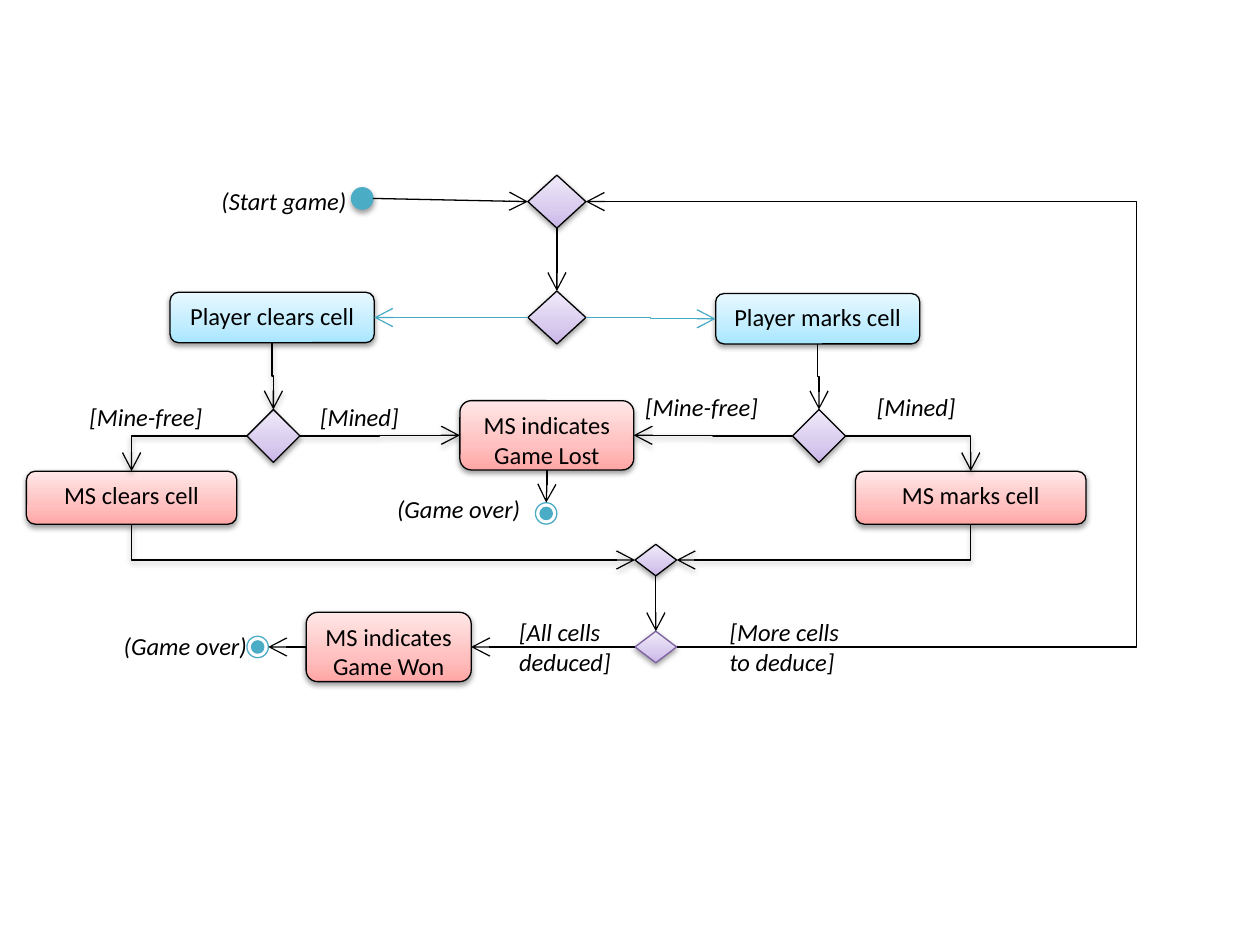
"""Build the activity diagram of a mine-clearing game on one slide."""
from copy import deepcopy
from dataclasses import dataclass
from enum import IntEnum

from lxml import etree
from pptx import Presentation
from pptx.dml.color import RGBColor
from pptx.enum.shapes import MSO_CONNECTOR, MSO_SHAPE
from pptx.enum.text import MSO_ANCHOR, MSO_AUTO_SIZE, PP_ALIGN
from pptx.oxml.ns import qn
from pptx.util import Inches, Pt

DIAMOND, OVAL, ROUNDED = MSO_SHAPE.DIAMOND, MSO_SHAPE.OVAL, MSO_SHAPE.ROUNDED_RECTANGLE
STRAIGHT, ELBOW = MSO_CONNECTOR.STRAIGHT, MSO_CONNECTOR.ELBOW
LEFT_ALIGN, CENTER, RIGHT_ALIGN = PP_ALIGN.LEFT, PP_ALIGN.CENTER, PP_ALIGN.RIGHT
TOP_ANCHOR, FIT = MSO_ANCHOR.TOP, MSO_AUTO_SIZE.SHAPE_TO_FIT_TEXT

BLACK = RGBColor(0x00, 0x00, 0x00)
WHITE = RGBColor(0xFF, 0xFF, 0xFF)
TEAL = RGBColor(0x4B, 0xAC, 0xC6)
CHOICE_TEAL = RGBColor(0x46, 0xAA, 0xC5)
VIOLET = RGBColor(0x7D, 0x60, 0xA0)
RED_FADE = (RGBColor(0xFF, 0xA6, 0xA5), RGBColor(0xFF, 0xC0, 0xBF), RGBColor(0xFF, 0xE7, 0xE7))
BLUE_FADE = (RGBColor(0xA7, 0xE6, 0xFF), RGBColor(0xC1, 0xED, 0xFF), RGBColor(0xE7, 0xF8, 0xFF))
VIOLET_FADE = (RGBColor(0xC9, 0xB5, 0xE8), RGBColor(0xD8, 0xCB, 0xEE), RGBColor(0xF0, 0xEA, 0xF9))
FADE_POSITIONS = (0, 0.35, 1)
LINE_HEIGHT = 0.24
DOT_SIZE, CORE_SIZE = 0.17, 0.08
LOOP_LANE = 9.02


class Side(IntEnum):
    TOP = 0
    LEFT = 1
    BOTTOM = 2
    RIGHT = 3


TOP, LEFT, BOTTOM, RIGHT = Side


@dataclass(frozen=True)
class Node:
    key: str
    left: float
    top: float
    width: float
    height: float
    fade: tuple = VIOLET_FADE
    text: str = ""
    outline: RGBColor = BLACK


@dataclass(frozen=True)
class Label:
    text: str
    left: float
    top: float
    width: float
    align: PP_ALIGN = LEFT_ALIGN
    lines: int = 1


@dataclass(frozen=True)
class Flow:
    source: str
    exit: Side
    target: str
    entry: Side
    color: RGBColor = BLACK
    shadow: bool = False
    kind: MSO_CONNECTOR = ELBOW
    lane: float | None = None


NODES = (
    Node("merge", 4.19, 1.39, 0.46, 0.42),
    Node("choice", 4.19, 2.31, 0.46, 0.42),
    Node("player clears", 1.35, 2.32, 1.62, 0.4, BLUE_FADE, "Player clears cell"),
    Node("player marks", 5.68, 2.33, 1.62, 0.4, BLUE_FADE, "Player marks cell"),
    Node("clear check", 1.96, 3.25, 0.42, 0.42),
    Node("mark check", 6.29, 3.25, 0.42, 0.42),
    Node("cleared", 0.21, 3.74, 1.67, 0.42, RED_FADE, "MS clears cell"),
    Node("marked", 6.79, 3.74, 1.83, 0.42, RED_FADE, "MS marks cell"),
    Node("lost", 3.65, 3.18, 1.38, 0.55, RED_FADE, "MS indicates Game Lost"),
    Node("join", 5.04, 4.32, 0.33, 0.25),
    Node("deduced", 5.04, 5.01, 0.33, 0.25, outline=VIOLET),
    Node("won", 2.43, 4.86, 1.31, 0.55, RED_FADE, "MS indicates Game Won"),
)
LABELS = (
    Label("(Start game)", 1.33, 1.48, 1.42, RIGHT_ALIGN),
    Label("[Mine-free]", 0.71, 3.19, 1.17),
    Label("[Mined]", 2.54, 3.19, 0.83),
    Label("[Mine-free]", 5.12, 3.11, 1.17),
    Label("[Mined]", 6.96, 3.11, 0.83),
    Label("(Game over)", 2.71, 3.92, 1.42, RIGHT_ALIGN),
    Label("[All cells deduced]", 4.12, 4.9, 0.92, lines=2),
    Label("[More cells\vto deduce]", 5.79, 4.9, 1.17, lines=2),
    Label("(Game over)", 0.54, 5.01, 1.42, RIGHT_ALIGN),
)
FINAL_DOTS = {"lost end": (4.25, 3.99), "won end": (1.96, 5.05)}
FLOWS = (
    Flow("start", RIGHT, "merge", LEFT, kind=STRAIGHT),
    Flow("merge", BOTTOM, "choice", TOP, kind=STRAIGHT),
    Flow("choice", LEFT, "player clears", RIGHT, CHOICE_TEAL),
    Flow("choice", RIGHT, "player marks", LEFT, CHOICE_TEAL),
    Flow("player clears", BOTTOM, "clear check", TOP, shadow=True),
    Flow("player marks", BOTTOM, "mark check", TOP),
    Flow("clear check", LEFT, "cleared", TOP, shadow=True),
    Flow("clear check", RIGHT, "lost", LEFT, shadow=True),
    Flow("mark check", LEFT, "lost", RIGHT, shadow=True),
    Flow("mark check", RIGHT, "marked", TOP, shadow=True),
    Flow("lost", BOTTOM, "lost end", TOP),
    Flow("cleared", BOTTOM, "join", LEFT, shadow=True),
    Flow("marked", BOTTOM, "join", RIGHT, shadow=True),
    Flow("join", BOTTOM, "deduced", TOP),
    Flow("deduced", LEFT, "won", RIGHT),
    Flow("won", LEFT, "won end", RIGHT),
    Flow("deduced", RIGHT, "merge", RIGHT, lane=LOOP_LANE),
)


def add_shadow(effects) -> None:
    shadow = etree.SubElement(effects, qn("a:outerShdw"), blurRad="40000", dist="20000",
                              dir="5400000", rotWithShape="0")
    color = etree.SubElement(shadow, qn("a:srgbClr"), val=str(BLACK))
    etree.SubElement(color, qn("a:alpha"), val="38000")


def write(frame, text: str, align: PP_ALIGN, italic: bool = False) -> None:
    frame.word_wrap, frame.vertical_anchor = True, TOP_ANCHOR
    frame.text = text
    paragraph = frame.paragraphs[0]
    paragraph.alignment = align
    for run in paragraph.runs:
        for name, value in {"name": "Calibri", "size": Pt(14), "italic": italic}.items():
            setattr(run.font, name, value)
        run.font.color.rgb = BLACK


def add_outlined(shapes, preset, box: tuple, outline: RGBColor, weight: float, shadow: bool):
    shape = shapes.add_shape(preset, *map(Inches, box))
    shape.line.color.rgb, shape.line.width = outline, Pt(weight)
    shape.shadow.inherit = False
    if shadow:
        add_shadow(shape._element.spPr.find(qn("a:effectLst")))
    return shape


def add_node(shapes, node: Node):
    box = (node.left, node.top, node.width, node.height)
    shape = add_outlined(shapes, ROUNDED if node.text else DIAMOND, box, node.outline, 0.75, True)
    shape.fill.gradient()
    shape.fill.gradient_angle = 90
    first_stop = shape._element.spPr.find(".//" + qn("a:gs"))
    first_stop.addnext(deepcopy(first_stop))
    for stop, color, position in zip(shape.fill.gradient_stops, node.fade, FADE_POSITIONS):
        stop.color.rgb, stop.position = color, position
    if node.text:
        write(shape.text_frame, node.text, CENTER)
    return shape


def add_dot(shapes, left: float, top: float, size: float, fill: RGBColor,
            weight: float = 0.75, shadow: bool = False):
    dot = add_outlined(shapes, OVAL, (left, top, size, size), TEAL, weight, shadow)
    dot.fill.solid()
    dot.fill.fore_color.rgb = fill
    return dot


def add_final_dot(shapes, left: float, top: float):
    group = shapes.add_group_shape()
    ring = add_dot(group.shapes, left, top, DOT_SIZE, WHITE)
    inset = (DOT_SIZE - CORE_SIZE) / 2
    add_dot(group.shapes, left + inset, top + inset, CORE_SIZE, TEAL, 2)
    return ring


def add_label(shapes, label: Label) -> None:
    box = (label.left, label.top, label.width, label.lines * LINE_HEIGHT)
    frame = shapes.add_textbox(*map(Inches, box)).text_frame
    for side in ("left", "top", "right", "bottom"):
        setattr(frame, f"margin_{side}", 0)
    write(frame, label.text, label.align, italic=True)
    frame.auto_size = FIT


def port(shape, side: Side) -> tuple[int, int]:
    across, down = {TOP: (1, 0), LEFT: (0, 1), BOTTOM: (1, 2), RIGHT: (2, 1)}[side]
    return shape.left + shape.width * across // 2, shape.top + shape.height * down // 2


def can_glue(shape, side: Side) -> bool:
    return shape.auto_shape_type != OVAL or side == TOP


def add_flow(shapes, flow: Flow, nodes: dict) -> None:
    source, target = nodes[flow.source], nodes[flow.target]
    (x1, y1), (x2, y2) = port(source, flow.exit), port(target, flow.entry)
    arrow = shapes.add_connector(flow.kind, x1, y1, x2, y2)
    if can_glue(source, flow.exit):
        arrow.begin_connect(source, flow.exit)
    if can_glue(target, flow.entry):
        arrow.end_connect(target, flow.entry)
    properties = arrow._element.spPr
    geometry = properties.find(qn("a:prstGeom"))
    if flow.kind == ELBOW:
        if (flow.exit in (TOP, BOTTOM)) != (flow.entry in (TOP, BOTTOM)):
            geometry.set("prst", "bentConnector2")
        if flow.exit == BOTTOM:
            run, drop = abs(x2 - x1), y2 - y1
            arrow.left, arrow.top = (x1 + x2 - drop) // 2, (y1 + y2 - run) // 2
            arrow.width, arrow.height = drop, run
            frame = properties.find(qn("a:xfrm"))
            frame.set("rot", "5400000")
            frame.set("flipH", "0")
            frame.set("flipV", str(int(x2 > x1)))
    if flow.lane is not None:
        bend = round((Inches(flow.lane) - x1) / (x2 - x1) * 100000)
        etree.SubElement(geometry.find(qn("a:avLst")), qn("a:gd"), name="adj1", fmla=f"val {bend}")
    arrow.line.color.rgb, arrow.line.width = flow.color, Pt(0.75)
    etree.SubElement(properties.find(qn("a:ln")), qn("a:tailEnd"), type="arrow", w="lg", len="lg")
    effects = etree.SubElement(properties, qn("a:effectLst"))
    if flow.shadow:
        add_shadow(effects)


def main() -> None:
    deck = Presentation()
    deck.slide_width, deck.slide_height = Inches(10), Inches(7.5)
    shapes = deck.slides.add_slide(deck.slide_layouts[6]).shapes
    nodes = {node.key: add_node(shapes, node) for node in NODES}
    nodes["start"] = add_dot(shapes, 2.79, 1.49, DOT_SIZE, TEAL, shadow=True)
    for key, corner in FINAL_DOTS.items():
        nodes[key] = add_final_dot(shapes, *corner)
    for label in LABELS:
        add_label(shapes, label)
    for flow in FLOWS:
        add_flow(shapes, flow, nodes)
    deck.save("out.pptx")


if __name__ == "__main__":
    main()
